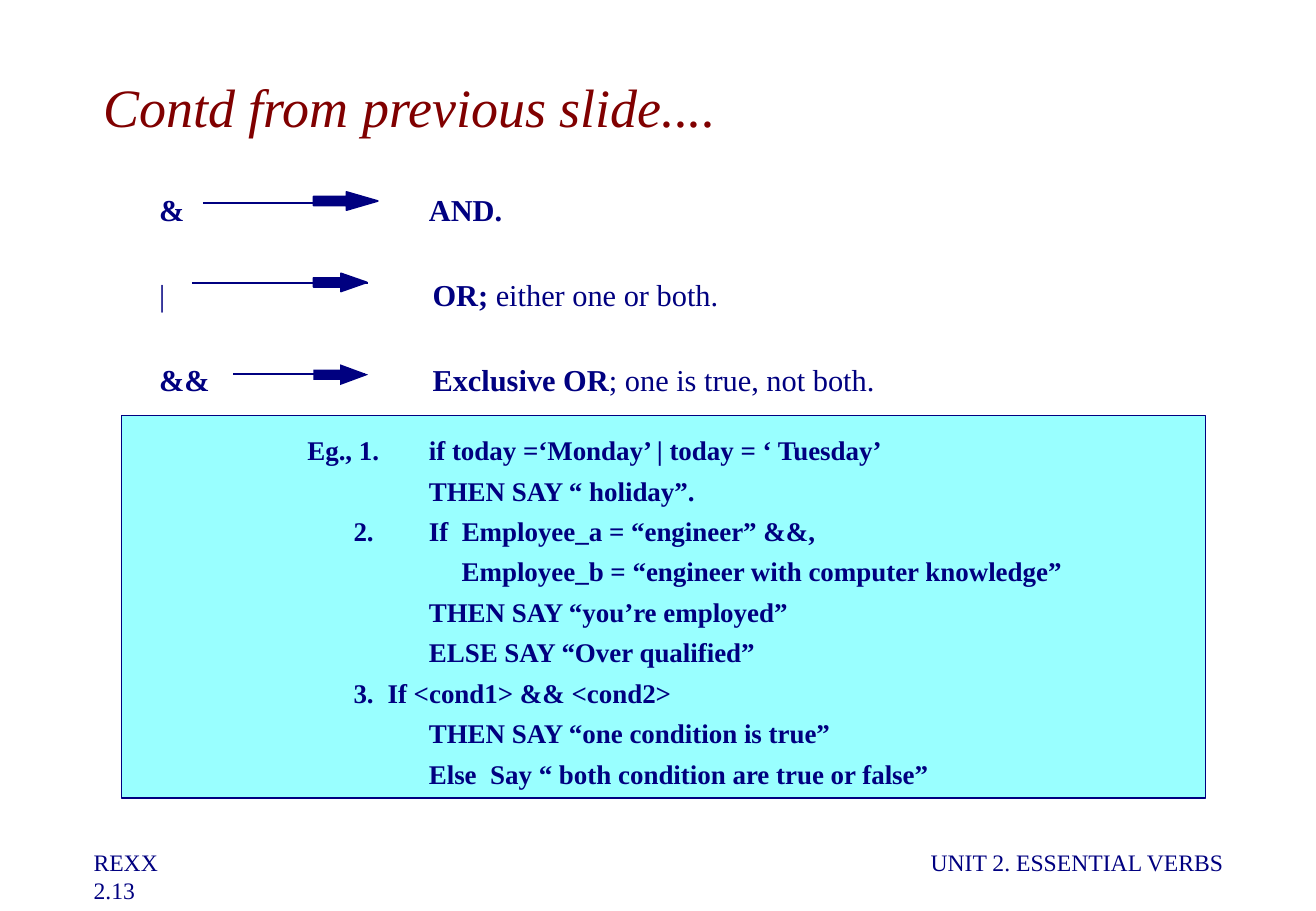
from dataclasses import dataclass

from lxml.etree import SubElement
from pptx import Presentation
from pptx.dml.color import RGBColor
from pptx.enum.shapes import MSO_CONNECTOR as Connector, MSO_SHAPE as Shape
from pptx.enum.text import MSO_ANCHOR as Anchor
from pptx.oxml.ns import qn
from pptx.util import Inches, Pt

COLORS = {"title": "800000", "navy": "000080", "panel": "99FFFF", "paper": "FFFFFF"}
FONT = "Times New Roman"


@dataclass(frozen=True)
class Line:
    """A label and its text, each at its distance from the box's left edge."""
    text_at: float
    bold: str
    plain: str = ""
    label: str = ""
    label_at: float = 0
    label_bold: bool = True


@dataclass(frozen=True)
class Arrow:
    start: float
    end: float
    line_top: float
    head_top: float
    head_width: float
    head_height: float
    head_ratio: float
    outlined: bool = True


OPERATORS = [
    Line(2.22, "AND.", label="&"),
    Line(2.25, "OR;", " either one or both.", label="|", label_bold=False),
    Line(2.25, "Exclusive OR", "; one is true, not both.", label="&&"),
]
EXAMPLES = [
    Line(1, "if today =‘Monday’ | today = ‘ Tuesday’", label="Eg., 1."),
    Line(1, "THEN SAY “ holiday”."),
    Line(1, "If  Employee_a = “engineer” &&,", label="2.", label_at=0.38),
    Line(1.27, "Employee_b = “engineer with computer knowledge”"),
    Line(1, "THEN SAY “you’re employed”"),
    Line(1, "ELSE SAY “Over qualified”"),
    Line(0.66, "If <cond1> && <cond2>", label="3.", label_at=0.38),
    Line(1, "THEN SAY “one condition is true”"),
    Line(1, "Else  Say “ both condition are true or false”"),
]
ARROWS = [
    Arrow(1.67, 2.93, 1.67, 1.58, 0.53, 0.15, 1.72),
    Arrow(1.58, 3.03, 2.33, 2.25, 0.44, 0.15, 1.43),
    Arrow(1.92, 3, 3.08, 3, 0.45, 0.17, 1.35, outlined=False),
]


def color(name: str) -> RGBColor:
    return RGBColor.from_string(COLORS[name])


def write(paragraph, text: str, *, size: float, bold: bool = False,
          italic: bool = False, ink: str = "navy") -> None:
    run = paragraph.add_run()
    run.text = text
    font = run.font
    font.name, font.size, font.bold, font.italic = FONT, Pt(size), bold, italic
    font.color.rgb = color(ink)


def place(shape, left: float, top: float, width: float, height: float) -> None:
    shape.left, shape.top = Inches(left), Inches(top)
    shape.width, shape.height = Inches(width), Inches(height)


def add_text_frame(slide, left: float, top: float, width: float, height: float):
    """Add a wrapping text box without insets and return its text frame."""
    box = slide.shapes.add_textbox(*map(Inches, (left, top, width, height)))
    frame = box.text_frame
    frame.word_wrap = True
    frame.margin_left = frame.margin_right = frame.margin_top = frame.margin_bottom = 0
    return frame


def add_lines(frame, lines: list[Line], size: float, gap: float) -> None:
    """Write each line with a hanging label; the tab lands on the text indent."""
    for index, line in enumerate(lines):
        paragraph = frame.paragraphs[0] if index == 0 else frame.add_paragraph()
        if index:
            paragraph.space_before = Pt(gap)
        hanging = line.label_at - line.text_at if line.label else 0
        properties = paragraph._p.get_or_add_pPr()
        properties.set("marL", str(Inches(line.text_at)))
        properties.set("indent", str(Inches(hanging)))
        if line.label:
            write(paragraph, line.label + "\t", size=size, bold=line.label_bold)
        write(paragraph, line.bold, size=size, bold=True)
        if line.plain:
            write(paragraph, line.plain, size=size)


def add_shape(slide, kind: Shape, left: float, top: float, width: float,
              height: float, fill: str, outlined: bool = True):
    shape = slide.shapes.add_shape(kind, *map(Inches, (left, top, width, height)))
    shape.shadow.inherit = False
    shape.fill.solid()
    shape.fill.fore_color.rgb = color(fill)
    if outlined:
        shape.line.color.rgb = color("navy")
        shape.line.width = Pt(1)
    else:
        shape.line.fill.background()
    return shape


def add_arrow(slide, arrow: Arrow) -> None:
    shaft = slide.shapes.add_connector(Connector.STRAIGHT, *map(
        Inches, (arrow.start, arrow.line_top, arrow.end, arrow.line_top)))
    shaft.line.color.rgb = color("navy")
    shaft.line.width = Pt(1)
    SubElement(shaft._element.spPr, qn("a:effectLst"))
    head = add_shape(slide, Shape.RIGHT_ARROW, 2.58, arrow.head_top, arrow.head_width,
                     arrow.head_height, "navy", arrow.outlined)
    head.adjustments[0] = 0.5
    head.adjustments[1] = arrow.head_ratio


def add_title(slide) -> None:
    title = slide.shapes.title
    place(title, 0.75, 0.25, 9.2, 1.25)
    frame = title.text_frame
    frame.vertical_anchor = Anchor.MIDDLE
    paragraph = frame.paragraphs[0]
    paragraph.alignment = 1
    write(paragraph, "Contd from previous slide....", size=32, italic=True, ink="title")


def add_footer(slide) -> None:
    paragraph = add_text_frame(slide, 0.77, 6.98, 9.47, 0.48).paragraphs[0]
    tabs = SubElement(paragraph._p.get_or_add_pPr(), qn("a:tabLst"))
    SubElement(tabs, qn("a:tab"), pos=str(Inches(9.3)), algn="r")
    write(paragraph, "REXX\tUNIT 2. ESSENTIAL VERBS", size=14)
    paragraph.add_line_break()
    write(paragraph, "2.13", size=14)


def main() -> None:
    presentation = Presentation()
    presentation.slide_width, presentation.slide_height = Inches(10.83), Inches(7.5)
    slide = presentation.slides.add_slide(presentation.slide_layouts[5])
    slide.background.fill.solid()
    slide.background.fill.fore_color.rgb = color("paper")

    add_title(slide)
    add_lines(add_text_frame(slide, 1.31, 1.57, 8.6, 1.75), OPERATORS, size=18, gap=28.8)
    for arrow in ARROWS:
        add_arrow(slide, arrow)
    add_shape(slide, Shape.RECTANGLE, 1, 3.42, 8.92, 3.15, "panel")
    add_lines(add_text_frame(slide, 2.53, 3.57, 7, 2.87), EXAMPLES, size=16, gap=4.8)
    add_footer(slide)
    presentation.save("out.pptx")


if __name__ == "__main__":
    main()
